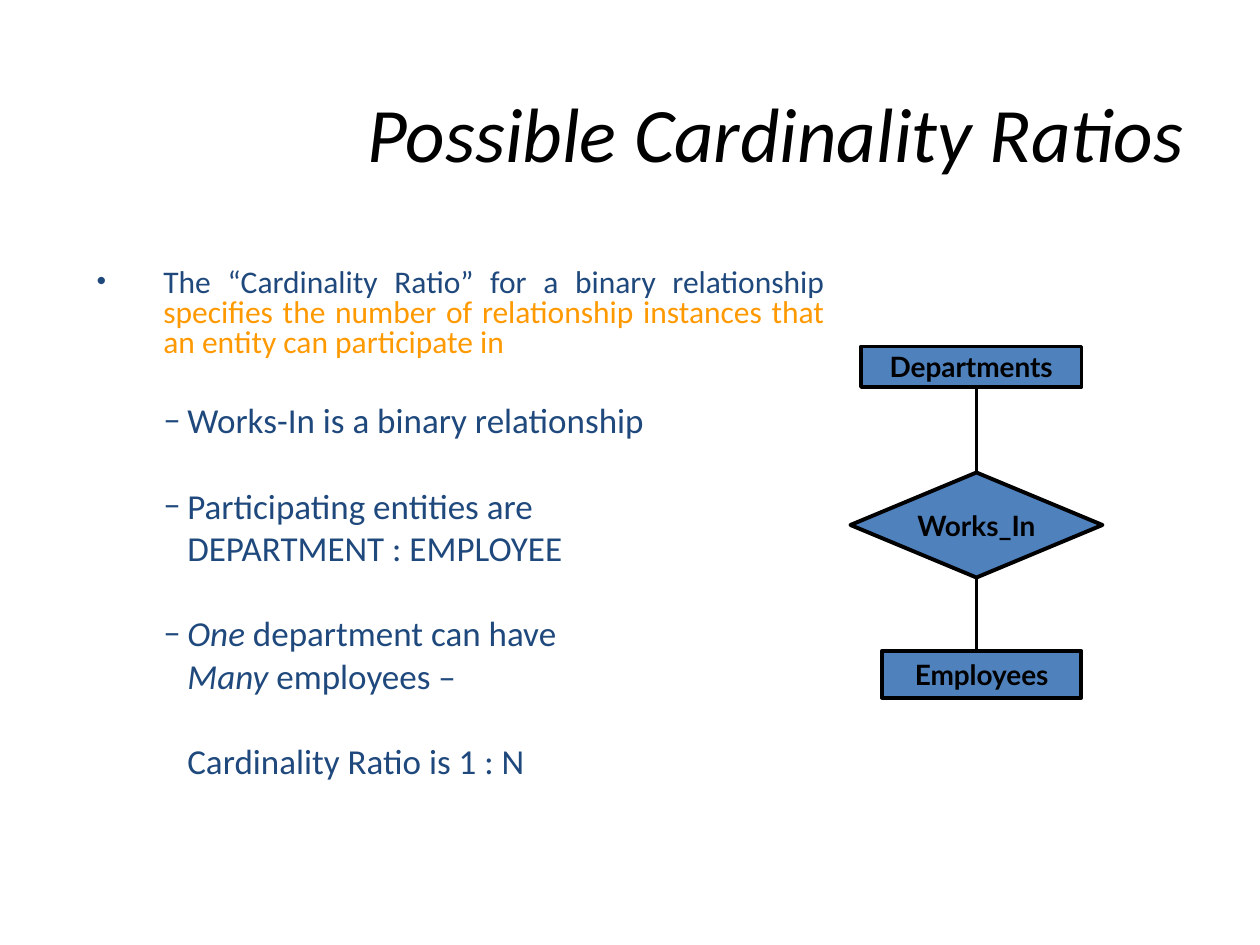
import pptx
import pptx.util
import pptx.dml.color
import pptx.enum.text
import pptx.enum.shapes
import pptx.oxml.ns
import lxml.etree

Align = pptx.enum.text.PP_ALIGN
Mid = pptx.enum.text.MSO_ANCHOR.MIDDLE
Kind = pptx.enum.shapes.MSO_SHAPE
Pt = pptx.util.Pt

NAVY, GOLD, BLUE, BLACK = "1F497D", "FF9900", "4F81BD", "000000"
COLS, ROWS = 120, 90

TITLE = ("Possible Cardinality Ratios", (6, 5, 108, 15))
BODY = (8, 25, 71.75, 60)
DOT = ("●", 0.53, 0.53, 50)
DASH = ("–", 0.72, 0.19, 100)
REST = ("", 0.72, 0, 100)
LINES = [
    (DOT, 18, 0, [
        ("The “Cardinality Ratio” for a binary relationship ", NAVY, False),
        ("specifies the number of relationship instances that an entity can participate in", GOLD, False),
    ]),
    (DASH, 20, 27, [("Works-In is a binary relationship", NAVY, False)]),
    (DASH, 20, 29.5, [("Participating entities are", NAVY, False)]),
    (REST, 20, 5, [("DEPARTMENT : EMPLOYEE", NAVY, False)]),
    (DASH, 20, 29.5, [("One ", NAVY, True), ("department can have", NAVY, False)]),
    (REST, 20, 5, [("Many ", NAVY, True), ("employees –", NAVY, False)]),
    (REST, 20, 29.5, [("Cardinality Ratio is 1 : N", NAVY, False)]),
]
AXIS = 93
LINKS = [(33, 45), (55, 62)]
NODES = [
    ("Departments", Kind.RECTANGLE, (82, 33, 21, 3.85)),
    ("Works_In", Kind.DIAMOND, (81, 45, 24, 10)),
    ("Employees", Kind.RECTANGLE, (84, 62, 19, 4.45)),
]

deck = pptx.Presentation()
deck.slide_width = pptx.util.Inches(10)
deck.slide_height = pptx.util.Inches(7.5)
slide = deck.slides.add_slide(deck.slide_layouts[1])


def color(code):
    return pptx.dml.color.RGBColor.from_string(code)


def across(col):
    return round(deck.slide_width * col / COLS)


def down(row):
    return round(deck.slide_height * row / ROWS)


def place(shape, box):
    left, top, width, height = box
    shape.left, shape.top = across(left), down(top)
    shape.width, shape.height = across(width), down(height)
    shape.text_frame.auto_size = pptx.enum.text.MSO_AUTO_SIZE.NONE


def write(para, text, face, size, code, bold=False, slant=False):
    run = para.add_run()
    run.text = text
    font = run.font
    font.name, font.size = face, Pt(size)
    font.bold, font.italic = bold, slant
    font.color.rgb = color(code)


def child(node, tag, **attrs):
    return lxml.etree.SubElement(node, pptx.oxml.ns.qn(tag), attrs)


def mark(para, style):
    sign, left, hang, size = style
    props = para._p.get_or_add_pPr()
    props.set("marL", str(pptx.util.Inches(left)))
    props.set("indent", str(-pptx.util.Inches(hang)))
    if not sign:
        child(props, "a:buNone")
        return
    child(child(props, "a:buClr"), "a:srgbClr", val=NAVY)
    child(props, "a:buSzPct", val=str(size * 1000))
    child(props, "a:buFont", typeface="Calibri")
    child(props, "a:buChar", char=sign)


def stroke(line):
    line.color.rgb = color(BLACK)
    line.width = Pt(2.25)


text, box = TITLE
title = slide.shapes.title
place(title, box)
title.text_frame.vertical_anchor = Mid
para = title.text_frame.paragraphs[0]
para.alignment = Align.RIGHT
write(para, text, "Calibri", 44, BLACK, slant=True)

body = slide.placeholders[1]
place(body, BODY)
frame = body.text_frame
for num, (style, size, gap, runs) in enumerate(LINES):
    para = frame.add_paragraph() if num else frame.paragraphs[0]
    mark(para, style)
    para.alignment = Align.JUSTIFY
    para.line_spacing = 0.8
    para.space_before = Pt(gap)
    for text, code, slant in runs:
        write(para, text, "Calibri", size, code, slant=slant)

for top, end in LINKS:
    link = slide.shapes.add_connector(
        pptx.enum.shapes.MSO_CONNECTOR.STRAIGHT,
        across(AXIS), down(top), across(AXIS), down(end))
    stroke(link.line)
    child(link._element.spPr, "a:effectLst")

for text, kind, box in NODES:
    node = slide.shapes.add_shape(kind, 0, 0, 0, 0)
    place(node, box)
    node.shadow.inherit = False
    node.fill.solid()
    node.fill.fore_color.rgb = color(BLUE)
    stroke(node.line)
    frame = node.text_frame
    frame.word_wrap = False
    frame.vertical_anchor = Mid
    frame.margin_top = frame.margin_bottom = 0
    para = frame.paragraphs[0]
    para.alignment = Align.CENTER
    write(para, text, "Lato", 16, BLACK, bold=True)

deck.save("out.pptx")
